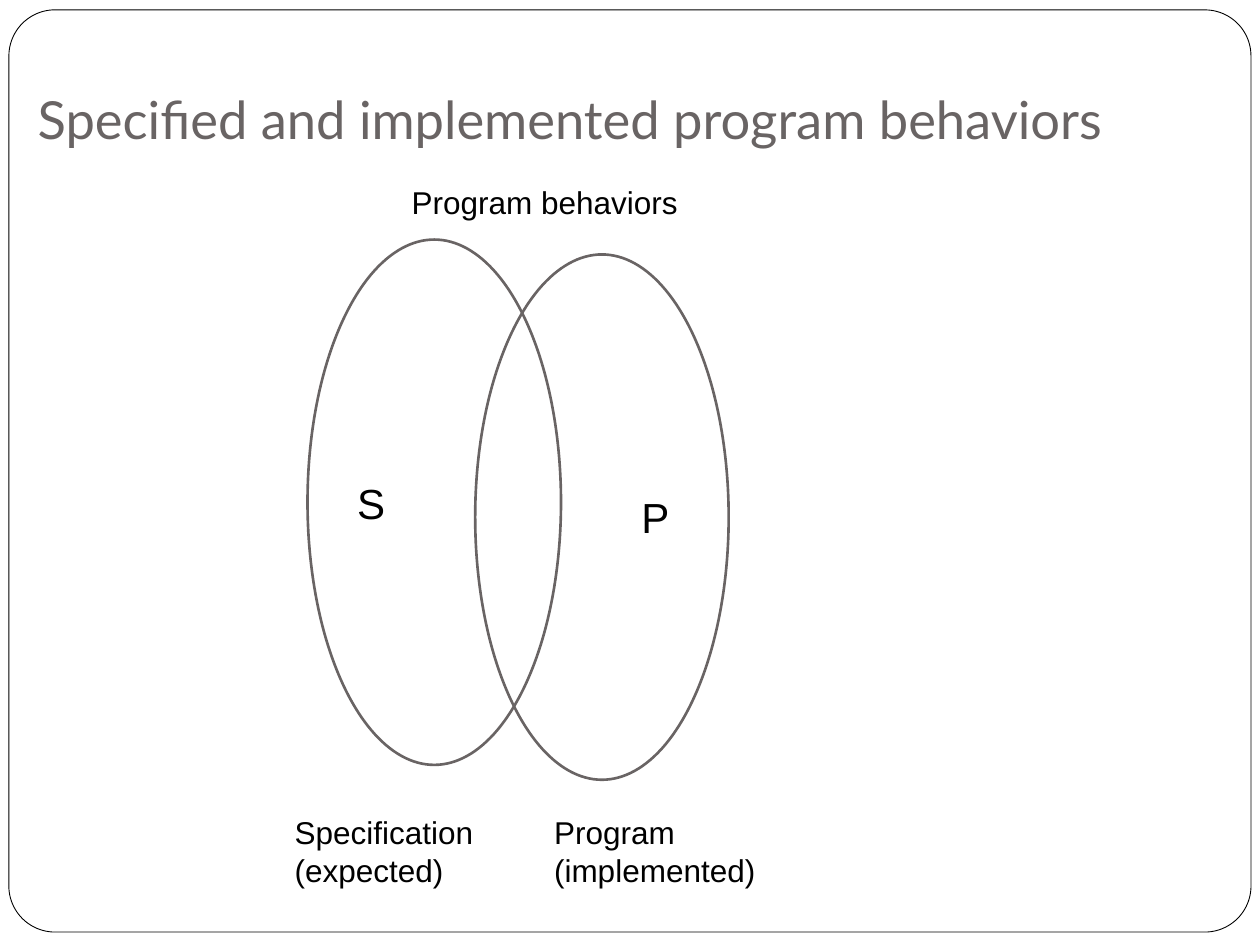
import pptx
import pptx.util
import pptx.dml.color
import pptx.enum.shapes
import pptx.enum.text

Cm = pptx.util.Cm
Pt = pptx.util.Pt
SHAPE = pptx.enum.shapes.MSO_SHAPE
ANCHOR = pptx.enum.text.MSO_ANCHOR
WHITE = pptx.dml.color.RGBColor(0xFF, 0xFF, 0xFF)
BLACK = pptx.dml.color.RGBColor(0x00, 0x00, 0x00)
GRAY = pptx.dml.color.RGBColor(0x69, 0x64, 0x64)
INSET = Cm(0.25)


def write(holder, text, size, font_name, color, anchor, left_inset=INSET):
    frame = holder.text_frame
    frame.text = text
    frame.word_wrap = True
    frame.auto_size = pptx.enum.text.MSO_AUTO_SIZE.NONE
    frame.vertical_anchor = anchor
    frame.margin_left = left_inset
    frame.margin_right = frame.margin_top = frame.margin_bottom = INSET
    paragraph = frame.paragraphs[0]
    paragraph.alignment = pptx.enum.text.PP_ALIGN.LEFT
    paragraph.font.size = Pt(size)
    paragraph.font.name = font_name
    paragraph.font.color.rgb = color


def outline(shape, color, width):
    shape.shadow.inherit = False
    shape.line.color.rgb = color
    shape.line.width = Pt(width)


deck = pptx.Presentation()
deck.slide_width = Cm(25.4)
deck.slide_height = Cm(19.05)
slide = deck.slides.add_slide(deck.slide_layouts[5])

title = slide.shapes.title
title.left, title.top, title.width, title.height = Cm(0.51), Cm(0.1), Cm(24.36), Cm(3.18)
write(title, "Specified and implemented program behaviors", 30, "Lato", GRAY, ANCHOR.BOTTOM)

border = slide.shapes.add_shape(SHAPE.ROUNDED_RECTANGLE, Cm(0.18), Cm(0.2), Cm(25.04), Cm(18.59))
border.adjustments[0] = 0.05
border.fill.solid()
border.fill.fore_color.rgb = WHITE
outline(border, BLACK, 0.5)
title.element.addprevious(border.element)

for text, left, top, width, height in [
    ("Specification (expected)", 5.69, 16.15, 4.8, 2.21),
    ("Program (implemented)", 10.92, 16.15, 4.98, 2.21),
    ("Program behaviors", 8.05, 3.43, 6.45, 1.27),
]:
    label = slide.shapes.add_textbox(Cm(left), Cm(top), Cm(width), Cm(height))
    write(label, text, 18, "Arial", BLACK, ANCHOR.TOP)

for letter, left, top, left_inset, filled in [
    ("S", 6.2, 4.83, INSET, True),
    ("P", 9.58, 5.13, Cm(2.6), False),
]:
    behavior_set = slide.shapes.add_shape(SHAPE.OVAL, Cm(left), Cm(top), Cm(5.11), Cm(10.59))
    if filled:
        behavior_set.fill.solid()
        behavior_set.fill.fore_color.rgb = WHITE
    else:
        behavior_set.fill.background()
    outline(behavior_set, GRAY, 1.5)
    write(behavior_set, letter, 24, "Arial", BLACK, ANCHOR.MIDDLE, left_inset)

deck.save("out.pptx")
